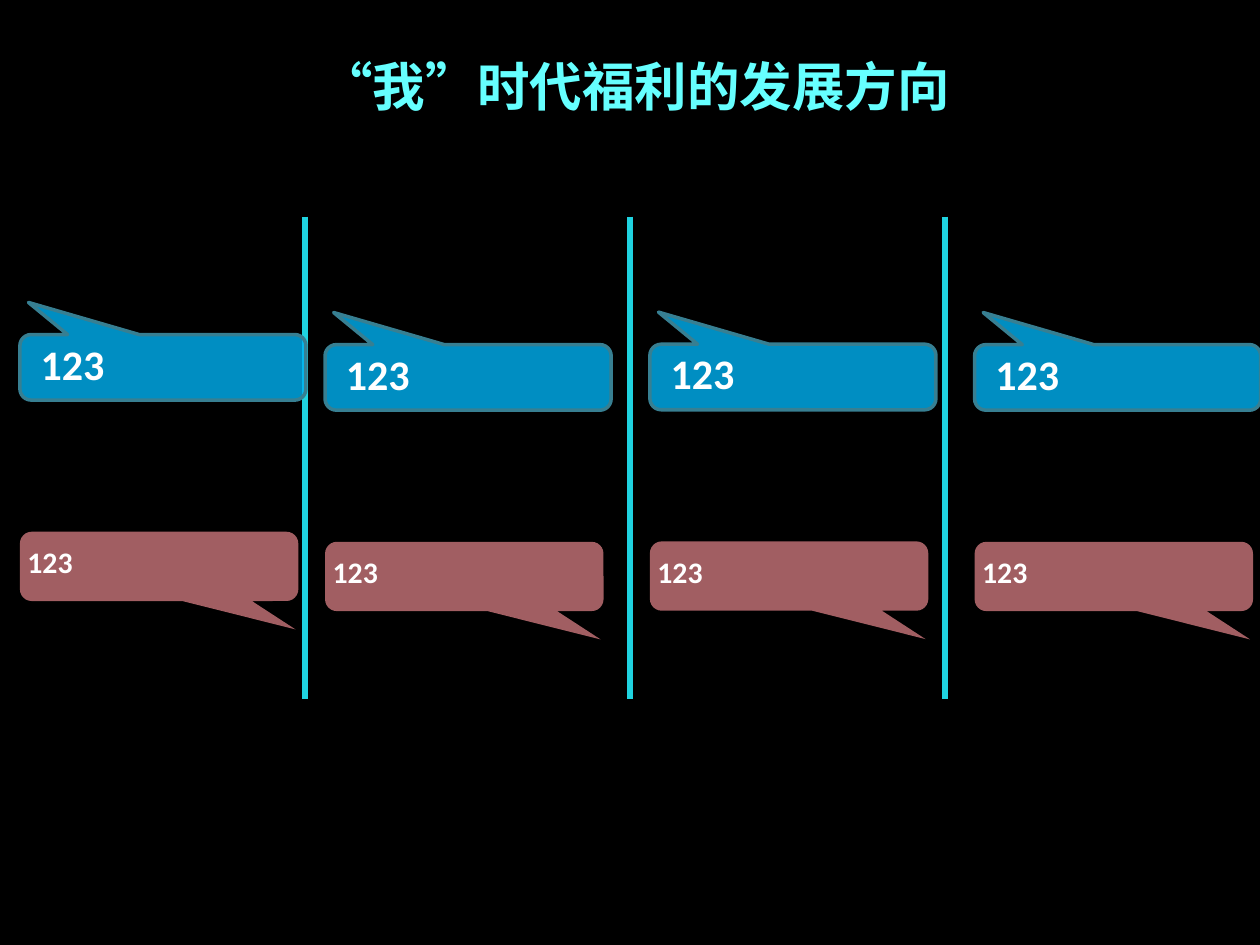
from lxml.etree import SubElement
from pptx import Presentation
from pptx.dml.color import RGBColor
from pptx.enum.shapes import MSO_CONNECTOR, MSO_SHAPE
from pptx.enum.text import PP_ALIGN
from pptx.oxml.ns import qn
from pptx.util import Inches, Pt

COLS, ROWS = 100, 75
WIDTH, HEIGHT = Inches(10), Inches(7.5)
COLORS = {"back": "000000", "title": "66FFFF", "rule": "1FD3E0", "blue": "00B0F0",
          "edge": "377F92", "rose": "D87E84", "text": "FFFFFF"}
RULES = (24.2, 50, 75)
GROUPS = ((1.58, 26.55), (25.8, 27.35), (51.58, 27.32), (77.35, 27.35))
PLAIN = "{2D5ABB26-0587-4C30-8999-92F81FD0307C}"


def color(name):
    """Return the named colour."""
    return RGBColor.from_string(COLORS[name])


def grid(*spots):
    """Turn alternating columns and rows into lengths."""
    units = (WIDTH / COLS, HEIGHT / ROWS)
    return [round(spot * units[i % 2]) for i, spot in enumerate(spots)]


def add_rule(slide, col):
    """Draw an upright divider."""
    rule = slide.shapes.add_connector(MSO_CONNECTOR.STRAIGHT, *grid(col, 17.2, col, 55.5))
    rule.line.color.rgb = color("rule")
    rule.line.width = Pt(3.75)
    SubElement(rule._element.spPr, qn("a:effectLst"))


def add_bubble(slide, box, tail, fill, alpha, edge=None):
    """Draw a see-through callout."""
    bubble = slide.shapes.add_shape(MSO_SHAPE.ROUNDED_RECTANGULAR_CALLOUT, *grid(*box))
    bubble.shadow.inherit = False
    for i, value in enumerate((*tail, 0.17)):
        bubble.adjustments[i] = value
    bubble.fill.solid()
    bubble.fill.fore_color.rgb = color(fill)
    tint = bubble._element.spPr.find(qn("a:solidFill"))[0]
    SubElement(tint, qn("a:alpha"), val=str(alpha * 1000))
    if edge:
        bubble.line.color.rgb = color(edge)
        bubble.line.width = Pt(2)
    else:
        bubble.line.fill.background()
    return bubble


def add_label(slide, box, text, size, pad, name="text", align=None):
    """Add a one-cell table without fill or borders."""
    table = slide.shapes.add_table(1, 1, *grid(*box)).table
    table._tbl.tblPr.find(qn("a:tableStyleId")).text = PLAIN
    table.first_row = table.horz_banding = False
    cell = table.cell(0, 0)
    cell.fill.background()
    cell.margin_left, cell.margin_top, cell.margin_right, cell.margin_bottom = grid(*pad * 2)
    cell.text = text
    para = cell.text_frame.paragraphs[0]
    para.alignment = align
    font = para.font
    font.name, font.size, font.bold = "Calibri", Pt(size), True
    font.color.rgb = color(name)


def add_group(slide, col, row):
    """Add one column of two labelled callouts."""
    top = add_bubble(slide, (col, row, 22.7, 5.2), (0.47, 0.99), "blue", 81, "edge")
    top.rotation = 180
    add_bubble(slide, (col, row + 15.65, 22.1, 5.5), (0.49, 0.91), "rose", 75)
    add_label(slide, (col + 0.75, row + 0.05, 16.4, 5), "123", 24, (0.9, 0.4))
    add_label(slide, (col, row + 16.4, 19.5, 3.9), "123", 17, (0.6, 0.3))


def main():
    """Build and save the slide."""
    deck = Presentation()
    deck.slide_width, deck.slide_height = WIDTH, HEIGHT
    slide = deck.slides.add_slide(deck.slide_layouts[6])
    slide.background.fill.solid()
    slide.background.fill.fore_color.rgb = color("back")
    add_label(slide, (17.2, 3.1, 66.4, 7.1), "“我”时代福利的发展方向", 30, (1, 0.5),
              "title", PP_ALIGN.CENTER)
    for col in RULES:
        add_rule(slide, col)
    for col, row in GROUPS:
        add_group(slide, col, row)
    deck.save("out.pptx")


if __name__ == "__main__":
    main()
